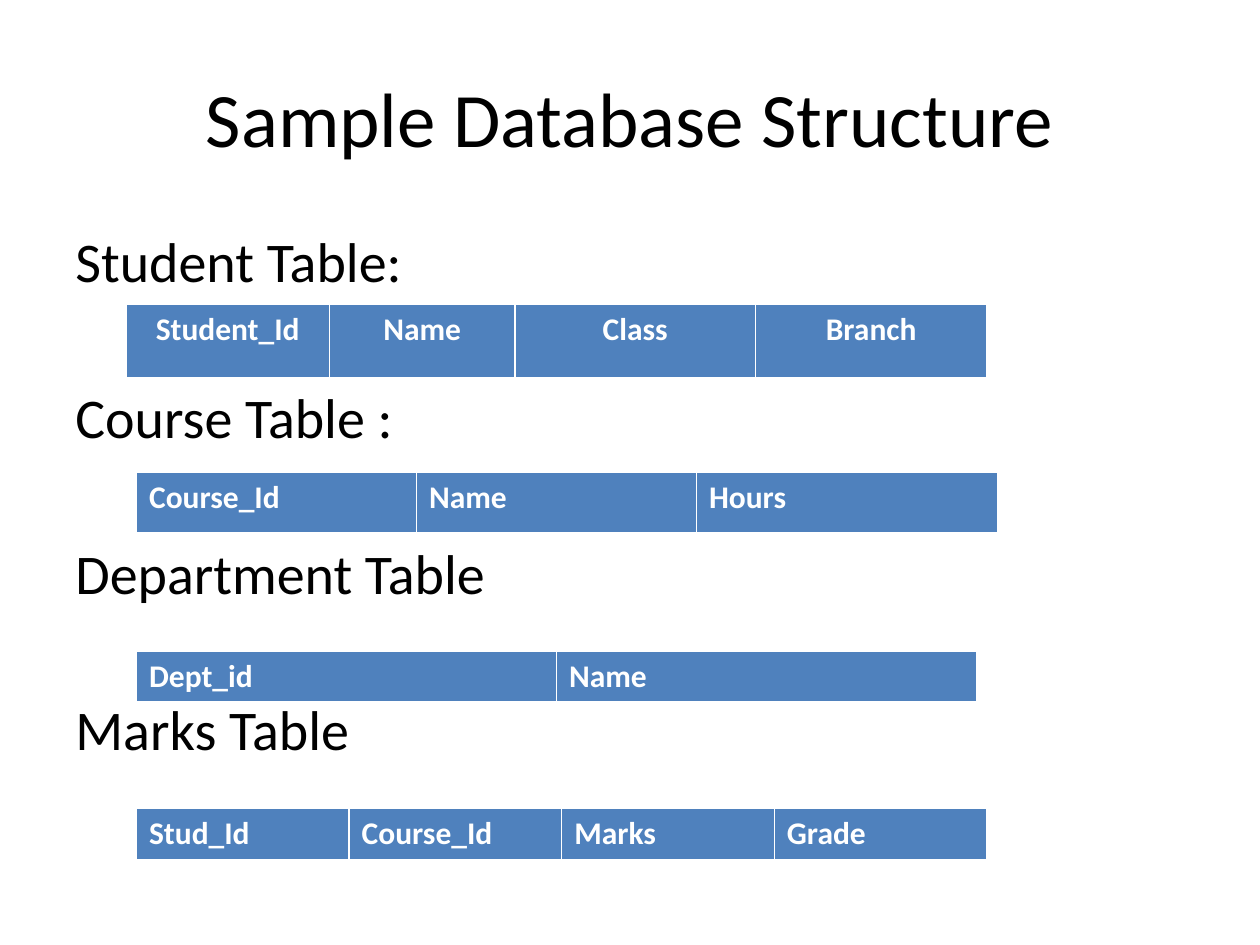
from dataclasses import dataclass

from pptx import Presentation
from pptx.dml import color
from pptx.enum import text
from pptx.slide import Slide
from pptx.text.text import _Paragraph as Paragraph
from pptx.util import Pt

FONT = "Calibri"
BLACK, WHITE, BLUE = "000000", "FFFFFF", "4F81BD"


@dataclass
class FieldTable:
    left: float
    top: float
    height: float
    fields: dict[str, float]  # field name and column width
    align: text.PP_ALIGN = text.PP_ALIGN.LEFT


HEADINGS = ["Student Table:", "Course Table :", "Department Table", "Marks Table"]
HEADING_GAP = 50.65

TABLES = [
    FieldTable(72, 174, 41.8,
               {"Student_Id": 116.3, "Name": 106, "Class": 137.4, "Branch": 132.3},
               text.PP_ALIGN.CENTER),
    FieldTable(78, 270, 34.3, {"Course_Id": 160, "Name": 160, "Hours": 172}),
    FieldTable(78, 372, 29.2, {"Dept_id": 240, "Name": 240}),
    FieldTable(78, 462, 29.2,
               dict.fromkeys(["Stud_Id", "Course_Id", "Marks", "Grade"], 121.5)),
]


def rgb(value: str) -> color.RGBColor:
    return color.RGBColor.from_string(value)


def add_run(paragraph: Paragraph, words: str, size: float, ink: str,
            bold: bool = False) -> None:
    run = paragraph.add_run()
    run.text = words
    run.font.name = FONT
    run.font.size = Pt(size)
    run.font.bold = bold
    run.font.color.rgb = rgb(ink)


def add_text(slide: Slide, top: float, height: float, lines: list[str], size: float,
             align: text.PP_ALIGN, anchor: text.MSO_ANCHOR, gap: float = 0) -> None:
    """Add a full-width text box with one paragraph per line, gap points apart."""
    frame = slide.shapes.add_textbox(Pt(36), Pt(top), Pt(648), Pt(height)).text_frame
    frame.word_wrap = True
    frame.vertical_anchor = anchor
    for index, line in enumerate(lines):
        paragraph = frame.add_paragraph() if index else frame.paragraphs[0]
        paragraph.alignment = align
        paragraph.space_before = Pt(gap if index else 0)
        add_run(paragraph, line, size, BLACK)


def add_field_table(slide: Slide, item: FieldTable) -> None:
    """Add a one-row table; the default style supplies its white borders."""
    table = slide.shapes.add_table(
        1, len(item.fields), Pt(item.left), Pt(item.top),
        Pt(sum(item.fields.values())), Pt(item.height)).table
    table.horz_banding = False
    for index, (name, width) in enumerate(item.fields.items()):
        table.columns[index].width = Pt(width)
        cell = table.cell(0, index)
        cell.fill.solid()
        cell.fill.fore_color.rgb = rgb(BLUE)
        paragraph = cell.text_frame.paragraphs[0]
        paragraph.alignment = item.align
        add_run(paragraph, name, 18, WHITE, bold=True)


def main() -> None:
    presentation = Presentation()
    presentation.slide_width, presentation.slide_height = Pt(720), Pt(540)
    slide = presentation.slides.add_slide(presentation.slide_layouts[6])
    add_text(slide, 21.6, 90, ["Sample Database Structure"], 44,
             text.PP_ALIGN.CENTER, text.MSO_ANCHOR.MIDDLE)
    add_text(slide, 126, 356.4, HEADINGS, 32,
             text.PP_ALIGN.LEFT, text.MSO_ANCHOR.TOP, HEADING_GAP)
    for item in TABLES:
        add_field_table(slide, item)
    presentation.save("out.pptx")


if __name__ == "__main__":
    main()
